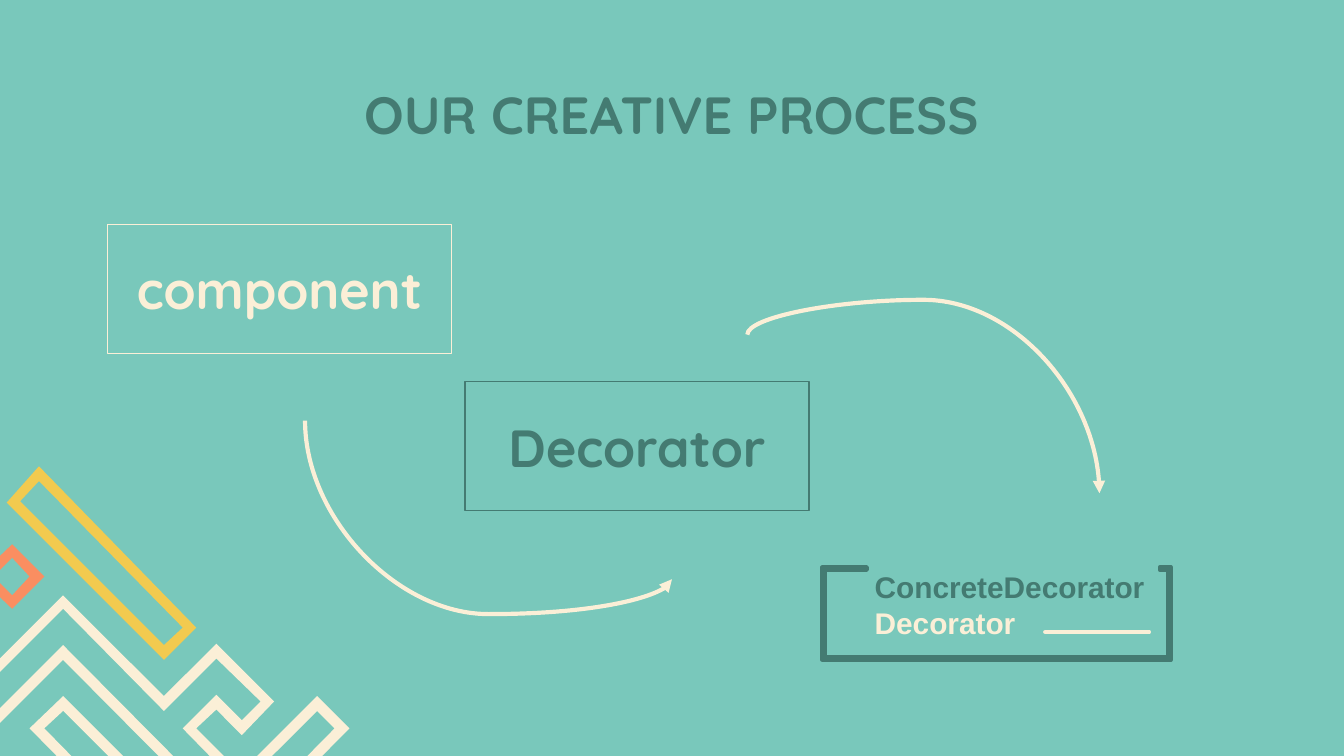
from lxml import etree
from pptx import Presentation
from pptx.dml.color import RGBColor
from pptx.enum.shapes import MSO_CONNECTOR, MSO_SHAPE
from pptx.enum.text import MSO_ANCHOR, PP_ALIGN
from pptx.oxml.ns import qn
from pptx.util import Inches, Pt

TEAL = RGBColor(0x79, 0xC8, 0xBB)
PINE = RGBColor(0x44, 0x7B, 0x72)
CREAM = RGBColor(0xFB, 0xEF, 0xD7)
CORAL = RGBColor(0xFA, 0x8E, 0x61)
GOLD = RGBColor(0xF2, 0xCA, 0x4F)

CURVE = MSO_CONNECTOR.CURVE
RECTANGLE = MSO_SHAPE.RECTANGLE
CENTER, LEFT = PP_ALIGN.CENTER, PP_ALIGN.LEFT
TOP, MIDDLE, BOTTOM = MSO_ANCHOR.TOP, MSO_ANCHOR.MIDDLE, MSO_ANCHOR.BOTTOM

HEADING = {"name": "Quicksand", "size": Pt(28), "bold": True}
LABEL = {"name": "Arial", "size": Pt(16), "bold": True}

COLUMNS = 100
SLIDE_WIDTH, SLIDE_HEIGHT = Inches(10), Inches(5.625)
CELL = SLIDE_WIDTH / COLUMNS

ORNAMENTS = [
    (CREAM, [
        [(4.7, 52.9), (9.8, 58), (8.4, 59.4), (3.3, 54.2)],
        [(4.7, 51.8), (2.2, 54.2), (8.4, 60.5), (10.9, 58)],
    ]),
    (CREAM, [
        [(4.7, 45.3), (12.2, 52.9), (16.1, 49), (19.4, 52.2), (18, 53.6),
         (16.1, 51.7), (13.6, 54.2), (17.9, 58.6), (23.6, 52.9),
         (24.9, 54.2), (17.9, 61.3), (4.7, 48), (-1, 53.7), (-2.4, 52.4)],
        [(4.7, 44.3), (-3.4, 52.4), (-1, 54.8), (4.7, 49.1), (17.9, 62.4),
         (26, 54.2), (23.6, 51.8), (17.9, 57.5), (14.6, 54.2),
         (16.1, 52.8), (18, 54.7), (20.4, 52.2), (16.1, 47.9),
         (12.2, 51.8)],
    ]),
    (CORAL, [
        [(0.9, 41.5), (2.2, 42.9), (0.9, 44.3), (-0.5, 42.9)],
        [(0.9, 40.5), (-1.6, 42.9), (0.9, 45.3), (3.3, 42.9)],
    ]),
    (GOLD, [
        [(2.9, 35.8), (13.6, 46.7), (12.2, 48), (1.5, 37.3)],
        [(2.9, 34.7), (0.5, 37.4), (12.2, 49.1), (14.6, 46.7)],
    ]),
]

FRAME = [(61.2, 42.2), (61.2, 49.1), (87.1, 49.1), (87.1, 42.2),
         (86.3, 42.2), (86.3, 42.4), (86.9, 42.4), (86.9, 48.9),
         (61.4, 48.9), (61.4, 42.4), (64.5, 42.4), (64.5, 42.2)]
UNDERLINE = [(77.8, 47), (77.8, 47.05), (85.5, 47.05), (85.5, 47)]


def grid(*cells):
    return [round(cell * CELL) for cell in cells]


class SlideBuilder:
    def __init__(self, deck):
        self.slide = deck.slides.add_slide(deck.slide_layouts[6])
        self.shapes = self.slide.shapes
        background = self.slide.background.fill
        background.solid()
        background.fore_color.rgb = TEAL

    def outline(self, shape, color, weight):
        shape.line.color.rgb = color
        shape.line.width = Pt(weight)

    def fill_text(self, shape, lines, style, align, anchor, spacing=None):
        frame = shape.text_frame
        layout = {"word_wrap": True, "vertical_anchor": anchor}
        for side in ("left", "right", "top", "bottom"):
            layout[f"margin_{side}"] = Inches(0.1)
        for name, value in layout.items():
            setattr(frame, name, value)
        for index, (text, color) in enumerate(lines):
            para = frame.add_paragraph() if index else frame.paragraphs[0]
            para.alignment = align
            para.line_spacing = spacing
            span = para.add_run()
            span.text = text
            for name, value in style.items():
                setattr(span.font, name, value)
            span.font.color.rgb = color

    def text(self, area, *content):
        self.fill_text(self.shapes.add_textbox(*grid(*area)), *content)

    def box(self, area, text, color):
        box = self.shapes.add_shape(RECTANGLE, *grid(*area))
        box.shadow.inherit = False
        box.fill.background()
        self.outline(box, color, 0.75)
        self.fill_text(box, [(text, color)], HEADING, CENTER, MIDDLE)

    def polygon(self, contours, color, weight=None):
        first, *others = [[grid(*point) for point in contour]
                          for contour in contours]
        builder = self.shapes.build_freeform(*first[0])
        builder.add_line_segments(first[1:], close=True)
        for contour in others:
            builder.move_to(*contour[0])
            builder.add_line_segments(contour[1:], close=True)
        shape = builder.convert_to_shape()
        shape.shadow.inherit = False
        shape.fill.solid()
        shape.fill.fore_color.rgb = color
        if weight:
            self.outline(shape, color, weight)
        else:
            shape.line.fill.background()

    def curved_arrow(self, start, end, bend):
        middle_x, middle_y = [(a + b) / 2 for a, b in zip(start, end)]
        half_width = (end[1] - start[1]) / 2
        half_height = (end[0] - start[0]) / 2
        arrow = self.shapes.add_connector(CURVE, *grid(
            middle_x + half_width, middle_y - half_height,
            middle_x - half_width, middle_y + half_height))
        self.outline(arrow, CREAM, 2.25)
        properties = arrow._element.spPr
        properties.find(qn("a:xfrm")).set("rot", str(270 * 60000))
        adjustments = properties.find(qn("a:prstGeom")).find(qn("a:avLst"))
        etree.SubElement(adjustments, qn("a:gd"), name="adj1",
                         fmla=f"val {round(bend * 100000)}")
        line = properties.find(qn("a:ln"))
        etree.SubElement(line, qn("a:tailEnd"), type="triangle")
        etree.SubElement(properties, qn("a:effectLst"))


def main():
    deck = Presentation()
    deck.slide_width, deck.slide_height = SLIDE_WIDTH, SLIDE_HEIGHT
    page = SlideBuilder(deck)
    for color, contours in ORNAMENTS:
        page.polygon(contours, color)
    page.text((6.5, 5.5, 86.9, 6.3), [("OUR CREATIVE PROCESS", PINE)],
              HEADING, CENTER, BOTTOM)
    page.polygon([FRAME], PINE, 2.25)
    page.polygon([UNDERLINE], CREAM, 2.25)
    page.curved_arrow((55.6, 24.9), (81.8, 36.7), -0.22)
    page.box((8, 16.7, 25.6, 9.6), "component", CREAM)
    page.curved_arrow((22.7, 31.3), (50, 43.1), 1.22)
    page.box((34.6, 28.4, 25.6, 9.6), "Decorator", PINE)
    page.text((64.1, 41.3, 32.8, 7.3),
              [("ConcreteDecorator", PINE), ("Decorator", CREAM)],
              LABEL, LEFT, TOP, Pt(19.2))
    deck.save("out.pptx")


if __name__ == "__main__":
    main()
